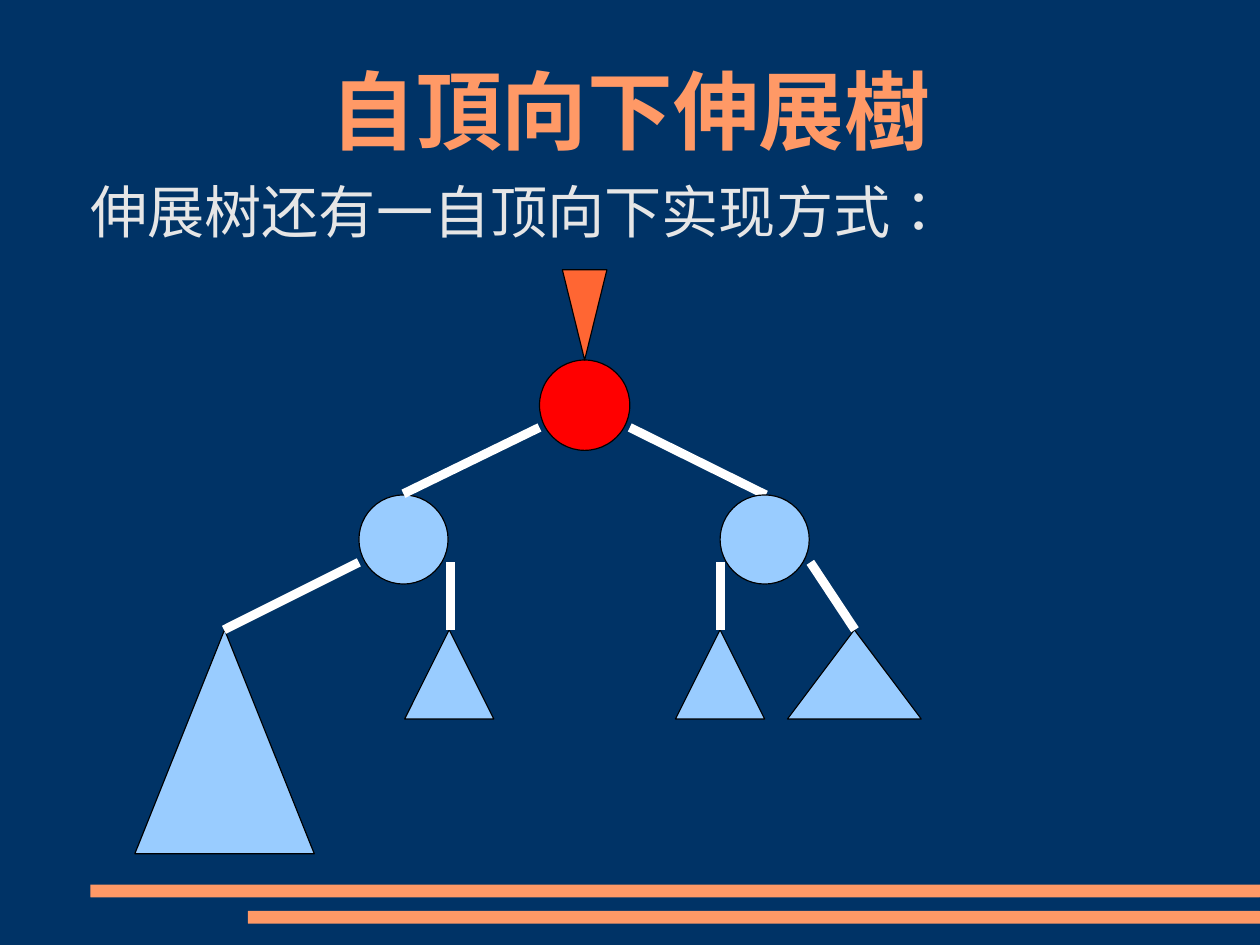
from lxml.etree import SubElement
from pptx import Presentation
from pptx.dml.color import RGBColor
from pptx.enum.shapes import MSO_CONNECTOR, MSO_SHAPE
from pptx.enum.text import MSO_ANCHOR, PP_ALIGN
from pptx.oxml.ns import qn
from pptx.util import Cm, Inches, Pt

THEME = {
    "font": "Noto Sans CJK SC", "lang": "zh-TW",
    "back": "003366", "accent": "FF9966", "body": "E6E6E6",
    "node": "99CCFF", "root": "FF0000", "mark": "FF6633",
    "edge": "FFFFFF", "rim": "000000",
    "title_pt": 54, "body_pt": 36, "edge_pt": 5.67, "rim_pt": 0.75,
}

TITLE = "自頂向下伸展樹"
BODY = "伸展树还有一自顶向下实现方式："

SIZE = (Cm(28), Cm(21))
BARS = [(0.79, 7.74), (2.17, 7.97)]  # left, top; each runs to the right edge
BAR_H = 0.11
NODE, ROOT = 0.78, 0.79
KID_TOP, LEAF_TOP = 4.33, 5.51
EXIT = 4.92  # height at which edges leave the child nodes

# Back to front: nodes by (left, top, diameter, colour), leaves by
# (left, width, height), edges by (x1, y1, x2, y2)
TREE = [
    ("node", (3.14, KID_TOP, NODE, "node")),
    ("leaf", (1.18, 1.57, 1.96)),
    ("edge", (3.14, EXIT, 1.96, LEAF_TOP)),
    ("edge", (4.72, 3.74, 3.53, 4.32)),
    ("edge", (6.7, KID_TOP, 5.51, 3.74)),
    ("node", (6.3, KID_TOP, NODE, "node")),
    ("leaf", (6.89, 1.17, NODE)),
    ("edge", (7.09, EXIT, 7.48, LEAF_TOP)),
    ("node", (4.72, 3.15, ROOT, "root")),
    ("leaf", (3.54, NODE, NODE)),
    ("edge", (3.94, EXIT, 3.94, LEAF_TOP)),
    ("leaf", (5.91, NODE, NODE)),
    ("edge", (6.3, EXIT, 6.3, LEAF_TOP)),
]
MARK = (4.92, 2.36, 0.39, 0.79)


def color(key):
    return RGBColor.from_string(THEME[key])


def add_shape(slide, kind, box, fill, rim=True):
    shape = slide.shapes.add_shape(kind, *map(Inches, box))
    shape.shadow.inherit = False
    shape.fill.solid()
    shape.fill.fore_color.rgb = color(fill)
    if rim:
        shape.line.color.rgb = color("rim")
        shape.line.width = Pt(THEME["rim_pt"])
    else:
        shape.line.fill.background()
    return shape


def add_node(slide, left, top, size, fill):
    add_shape(slide, MSO_SHAPE.OVAL, (left, top, size, size), fill)


def add_leaf(slide, left, width, height):
    box = (left, LEAF_TOP, width, height)
    add_shape(slide, MSO_SHAPE.ISOSCELES_TRIANGLE, box, "node")


def add_edge(slide, *ends):
    edge = slide.shapes.add_connector(MSO_CONNECTOR.STRAIGHT, *map(Inches, ends))
    edge.line.color.rgb = color("edge")
    edge.line.width = Pt(THEME["edge_pt"])
    SubElement(edge._element.spPr, qn("a:effectLst"))


def add_text(slide, text, box, role, size, inset=0, bold=False,
             align=PP_ALIGN.LEFT, anchor=MSO_ANCHOR.TOP):
    frame = slide.shapes.add_textbox(*map(Inches, box)).text_frame
    frame.word_wrap = True
    frame.vertical_anchor = anchor
    frame.margin_left = frame.margin_right = frame.margin_bottom = 0
    frame.margin_top = Inches(inset)
    para = frame.paragraphs[0]
    para.text = text
    para.alignment = align
    para.line_spacing = 0.95
    font = para.font
    font.size = Pt(THEME[size])
    font.bold = bold
    font.color.rgb = color(role)
    font.name = THEME["font"]
    # East Asian glyphs need their own typeface; the language centres the colon
    props = para._p.pPr.find(qn("a:defRPr"))
    props.set("lang", THEME["lang"])
    SubElement(props, qn("a:ea"), typeface=THEME["font"])


def main():
    deck = Presentation()
    deck.slide_width, deck.slide_height = SIZE
    slide = deck.slides.add_slide(deck.slide_layouts[6])
    slide.background.fill.solid()
    slide.background.fill.fore_color.rgb = color("back")

    for left, top in BARS:
        box = (left, top, SIZE[0].inches - left, BAR_H)
        bar = add_shape(slide, MSO_SHAPE.ROUNDED_RECTANGLE, box, "accent", rim=False)
        bar.adjustments[0] = 0.02

    add_text(slide, TITLE, (0.81, 0.31, 9.41, 1.38), "accent", "title_pt",
             bold=True, align=PP_ALIGN.CENTER, anchor=MSO_ANCHOR.MIDDLE)
    add_text(slide, BODY, (0.79, 1.57, 9.59, 0.81), "body", "body_pt", inset=0.02)

    draw = {"node": add_node, "leaf": add_leaf, "edge": add_edge}
    for kind, args in TREE:
        draw[kind](slide, *args)
    mark = add_shape(slide, MSO_SHAPE.ISOSCELES_TRIANGLE, MARK, "mark")
    mark.rotation = 180

    deck.save("out.pptx")


if __name__ == "__main__":
    main()
